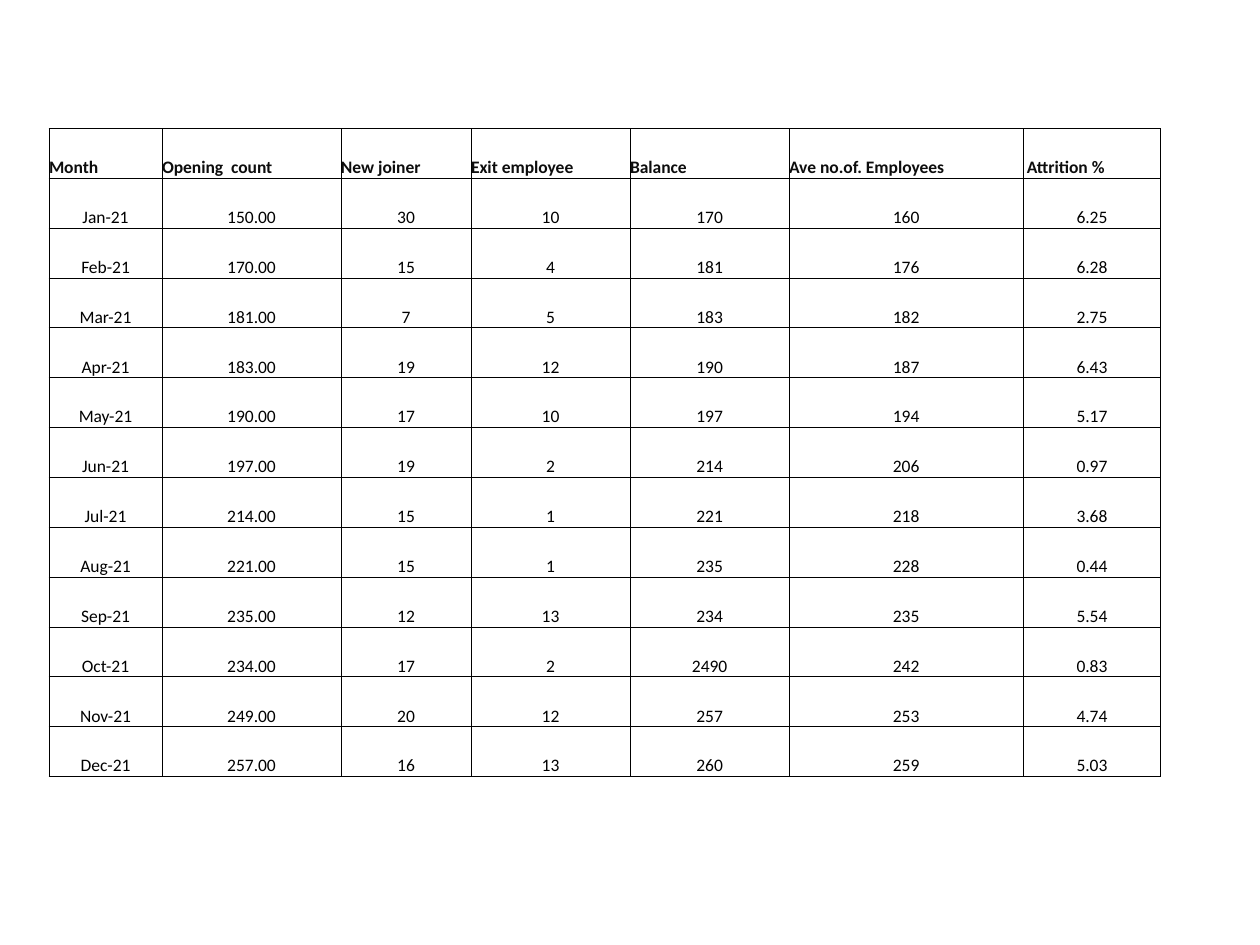
from typing import NamedTuple

import pptx
import pptx.dml.color
import pptx.enum.text
import pptx.oxml.ns
import pptx.slide
import pptx.table
import pptx.util
from lxml import etree

Pt = pptx.util.Pt
RGBColor = pptx.dml.color.RGBColor
Align = pptx.enum.text.PP_ALIGN

HEADER_COLOR = RGBColor(0x0D, 0x0D, 0x0D)
BODY_COLOR = RGBColor(0x00, 0x00, 0x00)
BORDER_COLOR = RGBColor(0x00, 0x00, 0x00)
FONT_NAME = "Calibri"
FONT_SIZE = Pt(10)
BORDER_WIDTH = Pt(0.5)
TABLE_LEFT, TABLE_TOP = Pt(28), Pt(73.4)
ROW_HEIGHT = Pt(28.5)


class Column(NamedTuple):
    heading: str
    width: float


class MonthRecord(NamedTuple):
    month: str
    opening: int
    joiners: int
    exits: int
    balance: int
    average: int
    attrition: float

    def texts(self) -> list[str]:
        """Return the record as the wording of its table cells."""
        counts = (self.joiners, self.exits, self.balance, self.average)
        return [self.month, f"{self.opening:.2f}", *map(str, counts), f"{self.attrition:.2f}"]


COLUMNS = [
    Column("Month", 64.6),
    Column("Opening  count", 102.3),
    Column("New joiner", 74.3),
    Column("Exit employee", 90.9),
    Column("Balance", 90.9),
    Column("Ave no.of. Employees", 133.7),
    Column(" Attrition %", 78.8),
]

RECORDS = [
    MonthRecord("Jan-21", 150, 30, 10, 170, 160, 6.25),
    MonthRecord("Feb-21", 170, 15, 4, 181, 176, 6.28),
    MonthRecord("Mar-21", 181, 7, 5, 183, 182, 2.75),
    MonthRecord("Apr-21", 183, 19, 12, 190, 187, 6.43),
    MonthRecord("May-21", 190, 17, 10, 197, 194, 5.17),
    MonthRecord("Jun-21", 197, 19, 2, 214, 206, 0.97),
    MonthRecord("Jul-21", 214, 15, 1, 221, 218, 3.68),
    MonthRecord("Aug-21", 221, 15, 1, 235, 228, 0.44),
    MonthRecord("Sep-21", 235, 12, 13, 234, 235, 5.54),
    MonthRecord("Oct-21", 234, 17, 2, 2490, 242, 0.83),
    MonthRecord("Nov-21", 249, 20, 12, 257, 253, 4.74),
    MonthRecord("Dec-21", 257, 16, 13, 260, 259, 5.03),
]


def write_text(cell: pptx.table._Cell, text: str, *, color: RGBColor,
               bold: bool = False, align: Align = Align.LEFT) -> None:
    para = cell.text_frame.paragraphs[0]
    para.alignment = align
    span = para.add_run()
    span.text = text
    span.font.name = FONT_NAME
    span.font.size = FONT_SIZE
    span.font.bold = bold
    span.font.color.rgb = color


def style_cell(cell: pptx.table._Cell) -> None:
    """Clear the fill and margins, anchor at the bottom and border all sides."""
    cell.margin_left = cell.margin_right = cell.margin_top = cell.margin_bottom = 0
    cell.vertical_anchor = pptx.enum.text.MSO_ANCHOR.BOTTOM
    qn = pptx.oxml.ns.qn
    properties = cell._tc.get_or_add_tcPr()
    for side in ("a:lnL", "a:lnR", "a:lnT", "a:lnB"):
        line = etree.SubElement(properties, qn(side), w=str(int(BORDER_WIDTH)))
        fill = etree.SubElement(line, qn("a:solidFill"))
        etree.SubElement(fill, qn("a:srgbClr"), val=str(BORDER_COLOR))
    cell.fill.background()


def add_attrition_table(page: pptx.slide.Slide) -> None:
    row_count = len(RECORDS) + 1
    table_width = Pt(sum(column.width for column in COLUMNS))
    table = page.shapes.add_table(row_count, len(COLUMNS), TABLE_LEFT, TABLE_TOP,
                                  table_width, ROW_HEIGHT * row_count).table
    table.first_row = table.horz_banding = False
    for table_column, column in zip(table.columns, COLUMNS):
        table_column.width = Pt(column.width)
    for row in table.rows:
        row.height = ROW_HEIGHT
    for cell in table.iter_cells():
        style_cell(cell)

    for cell, column in zip(table.rows[0].cells, COLUMNS):
        write_text(cell, column.heading, color=HEADER_COLOR, bold=True)
    for row_index, record in enumerate(RECORDS, start=1):
        for cell, text in zip(table.rows[row_index].cells, record.texts()):
            write_text(cell, text, color=BODY_COLOR, align=Align.CENTER)


def main() -> None:
    deck = pptx.Presentation()
    deck.slide_width, deck.slide_height = Pt(720), Pt(540)
    page = deck.slides.add_slide(deck.slide_layouts[6])
    add_attrition_table(page)
    deck.save("out.pptx")


if __name__ == "__main__":
    main()
